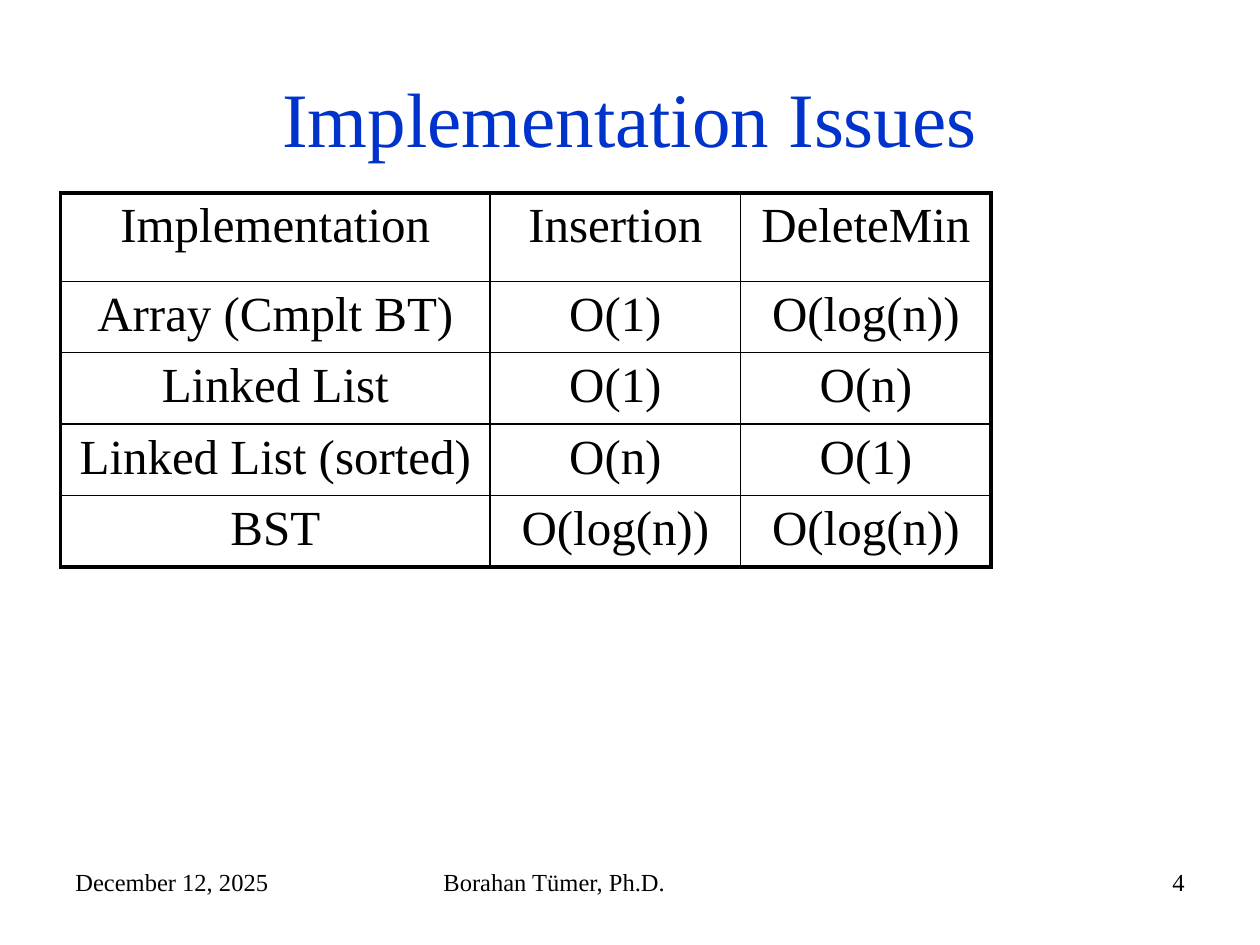
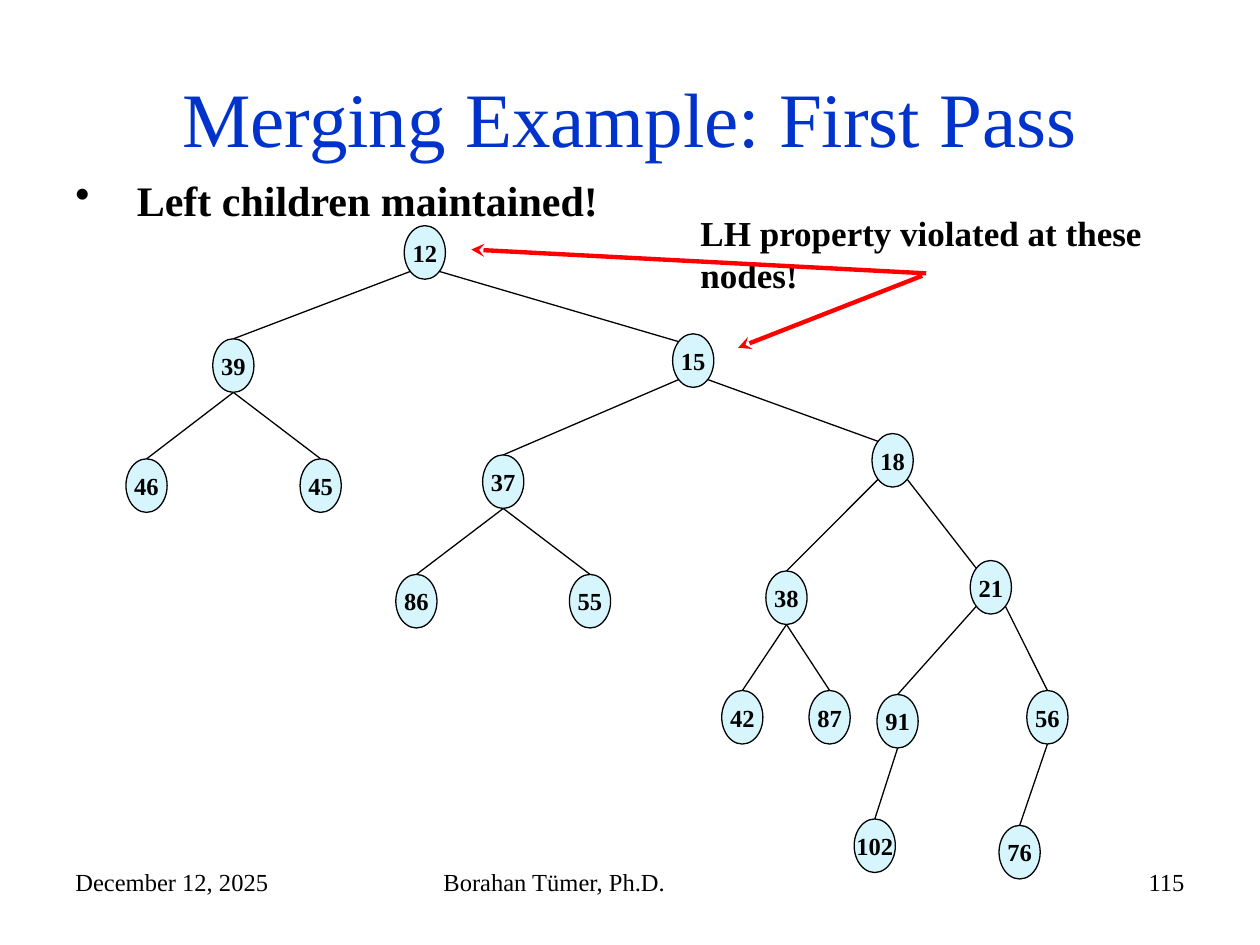
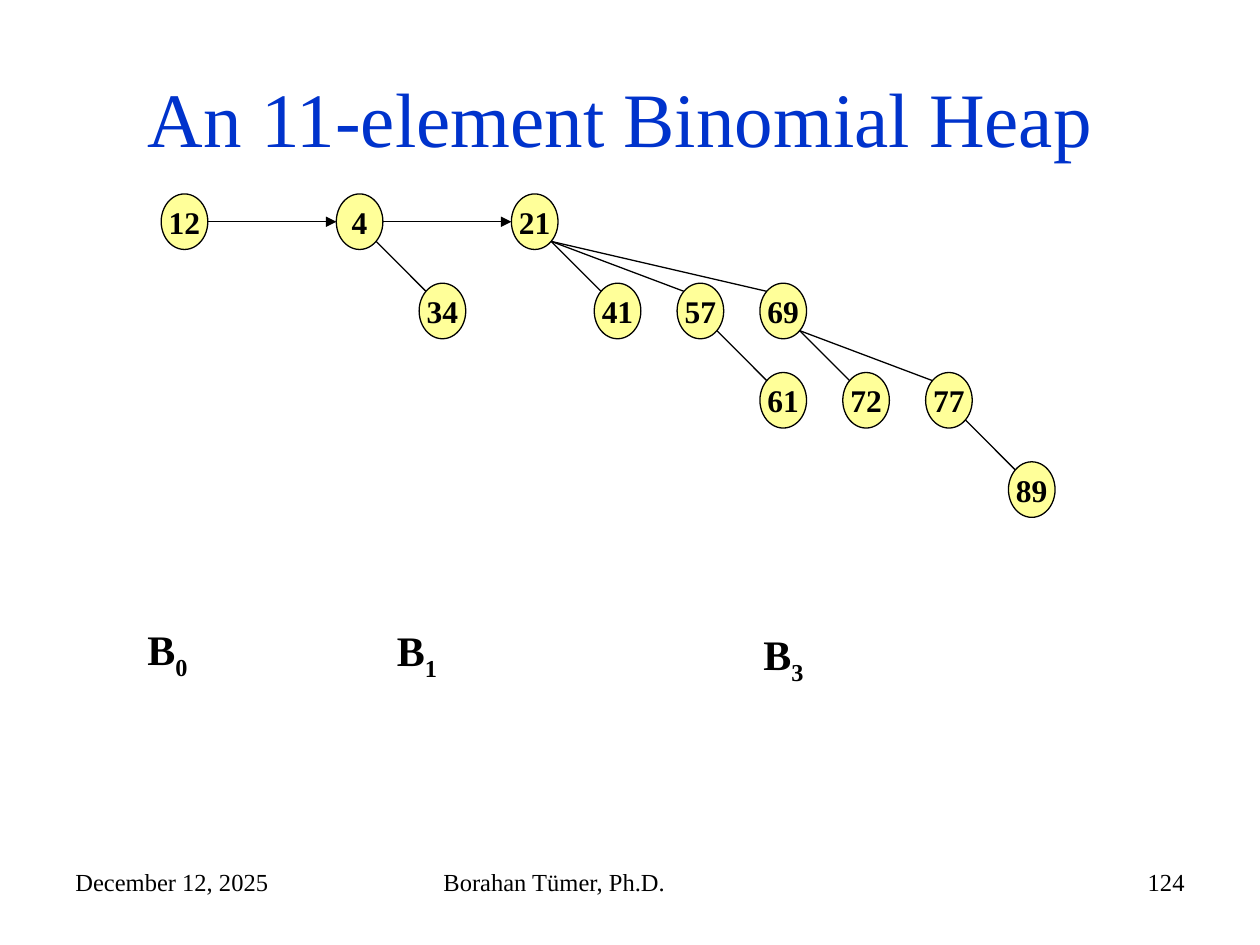
from lxml import etree
from pptx import Presentation
from pptx.dml.color import RGBColor
from pptx.enum.shapes import MSO_CONNECTOR, MSO_SHAPE
from pptx.enum.text import MSO_ANCHOR, PP_ALIGN
from pptx.oxml.ns import qn
from pptx.util import Cm, Pt

LEFT, CENTER, RIGHT = PP_ALIGN.LEFT, PP_ALIGN.CENTER, PP_ALIGN.RIGHT
MIDDLE = MSO_ANCHOR.MIDDLE
STRAIGHT, OVAL = MSO_CONNECTOR.STRAIGHT, MSO_SHAPE.OVAL

FONT = "Times New Roman"
BLACK = RGBColor(0x00, 0x00, 0x00)
TITLE_BLUE = RGBColor(0x00, 0x33, 0xCC)
NODE_BLUE = RGBColor(0xD6, 0xF5, 0xFC)
NODE_YELLOW = RGBColor(0xFF, 0xFF, 0x99)
RED = RGBColor(0xFF, 0x00, 0x00)

# Shared footer: date and author, followed by the slide number
DATE, AUTHOR = "December 12, 2025", "Borahan Tümer, Ph.D."
FOOTER_TOP, FOOTER_HEIGHT = 17.35, 1.32

# Slide 1: running times
COSTS = [
    ("Implementation", "Insertion", "DeleteMin"),
    ("Array (Cmplt BT)", "O(1)", "O(log(n))"),
    ("Linked List", "O(1)", "O(n)"),
    ("Linked List (sorted)", "O(n)", "O(1)"),
    ("BST", "O(log(n))", "O(log(n))"),
]
COLUMN_WIDTHS = (8.66, 5.05, 5.05)
ROW_HEIGHTS = (1.78, 1.44, 1.44, 1.44, 1.44)
THIN, THICK = 1, 2.25

# Slide 2: left and top of each node in cm, then the edges between them
MERGE_NODES = {
    12: (8.15, 4.55), 15: (13.56, 6.73), 18: (17.58, 8.74), 21: (19.56, 11.3),
    56: (20.7, 13.92), 39: (4.29, 6.83), 46: (2.54, 9.25), 45: (6.05, 9.25),
    37: (9.73, 9.17), 86: (7.98, 11.58), 55: (11.48, 11.58), 38: (15.44, 11.51),
    42: (14.55, 13.92), 87: (16.31, 13.92), 91: (17.68, 14), 102: (17.22, 16.51),
    76: (20.14, 16.64),
}
MERGE_EDGES = [
    (12, "bottom right", 15, "top left"), (15, "bottom right", 18, "top left"),
    (18, "bottom right", 21, "top left"), (21, "bottom right", 56, "top"),
    (12, "bottom left", 39, "top"), (39, "bottom", 46, "top"),
    (39, "bottom", 45, "top"), (15, "bottom left", 37, "top"),
    (37, "bottom", 86, "top"), (37, "bottom", 55, "top"),
    (18, "bottom left", 38, "top"), (38, "bottom", 42, "top"),
    (38, "bottom", 87, "top"), (21, "bottom left", 91, "top"),
    (91, "bottom", 102, "top"), (56, "bottom", 76, "top"),
]
VIOLATION_ARROWS = [((18.59, 5.56), (14.88, 7.01)), ((18.67, 5.51), (9.5, 5.03))]

# Slide 3: each binomial tree maps a key to its column, row and parent
BINOMIAL_TREES = [
    {12: (0, 0, None)},
    {4: (0, 0, None), 34: (1, 1, 4)},
    {21: (0, 0, None), 41: (1, 1, 21), 57: (2, 1, 21), 69: (3, 1, 21),
     61: (3, 2, 57), 72: (4, 2, 69), 77: (5, 2, 69), 89: (6, 3, 77)},
]
TREE_LABELS = [("0", 2.72, 12.45), ("1", 7.75, 12.47), ("3", 15.14, 12.55)]
HEAP_LEFT, HEAP_TOP, ROOT_STEP = 3.25, 3.91, 3.53
COLUMN_STEP, ROW_STEP = 1.67, 1.8

# Points on an oval, as fractions of its width and height
NEAR, FAR = 0.146, 0.854
SITES = {
    "top": (0.5, 0), "bottom": (0.5, 1), "left": (0, 0.5), "right": (1, 0.5),
    "top left": (NEAR, NEAR), "bottom left": (NEAR, FAR), "bottom right": (FAR, FAR),
}


def style(paragraph, size, color=BLACK, bold=False, align=LEFT):
    paragraph.alignment = align
    font = paragraph.font
    font.name, font.size, font.bold = FONT, Pt(size), bold
    font.color.rgb = color


def add_text(slide, text, box, size, bold=False, align=LEFT):
    frame = slide.shapes.add_textbox(*map(Cm, box)).text_frame
    frame.word_wrap = True
    paragraph = frame.paragraphs[0]
    paragraph.text = text
    style(paragraph, size, bold=bold, align=align)
    return paragraph


def add_slide(presentation, title, number):
    slide = presentation.slides.add_slide(presentation.slide_layouts[5])
    shape = slide.shapes.title
    shape.left, shape.top, shape.width, shape.height = map(Cm, (1.27, 0.76, 22.86, 3.18))
    frame = shape.text_frame
    frame.text, frame.vertical_anchor = title, MIDDLE
    style(frame.paragraphs[0], 44, TITLE_BLUE, align=CENTER)
    for text, left, width, align in ((DATE, 1.27, 5.92, LEFT), (AUTHOR, 8.69, 8.05, LEFT),
                                     (str(number), 18.21, 5.92, RIGHT)):
        add_text(slide, text, (left, FOOTER_TOP, width, FOOTER_HEIGHT), 14, align=align)
    return slide


def add_line(slide, start, end, color=BLACK, width=0.75, arrow=None):
    line = slide.shapes.add_connector(STRAIGHT, *start, *end)
    line.line.color.rgb, line.line.width = color, Pt(width)
    if arrow:
        etree.SubElement(line.line._get_or_add_ln(), qn("a:tailEnd"), type=arrow)
    etree.SubElement(line._element.spPr, qn("a:effectLst"))


def add_node(slide, key, left, top, size, fill, font_size):
    node = slide.shapes.add_shape(OVAL, Cm(left), Cm(top), *map(Cm, size))
    node.shadow.inherit = False
    node.fill.solid()
    node.fill.fore_color.rgb = fill
    node.line.color.rgb, node.line.width = BLACK, Pt(0.75)
    frame = node.text_frame
    frame.word_wrap, frame.vertical_anchor = False, MIDDLE
    frame.margin_left = frame.margin_right = frame.margin_top = frame.margin_bottom = 0
    frame.text = str(key)
    style(frame.paragraphs[0], font_size, bold=True, align=CENTER)
    return node


def site(node, name):
    across, down = SITES[name]
    return round(node.left + across * node.width), round(node.top + down * node.height)


def set_borders(cell, widths):
    properties = cell._tc.get_or_add_tcPr()
    for index, (side, width) in enumerate(zip(("lnL", "lnR", "lnT", "lnB"), widths)):
        line = etree.Element(qn(f"a:{side}"), w=str(Pt(width)))
        fill = etree.SubElement(line, qn("a:solidFill"))
        etree.SubElement(fill, qn("a:srgbClr"), val=str(BLACK))
        properties.insert(index, line)


def build_costs(presentation):
    slide = add_slide(presentation, "Implementation Issues", 4)
    last_row, last_column = len(COSTS) - 1, len(COLUMN_WIDTHS) - 1
    table = slide.shapes.add_table(
        len(COSTS), len(COLUMN_WIDTHS), Cm(1.22), Cm(3.89),
        Cm(sum(COLUMN_WIDTHS)), Cm(sum(ROW_HEIGHTS))).table
    table.first_row = table.horz_banding = False
    for column, width in zip(table.columns, COLUMN_WIDTHS):
        column.width = Cm(width)
    for row, height in zip(table.rows, ROW_HEIGHTS):
        row.height = Cm(height)
    for r, texts in enumerate(COSTS):
        for c, text in enumerate(texts):
            cell = table.cell(r, c)
            cell.text = text
            cell.fill.background()
            style(cell.text_frame.paragraphs[0], 28, align=CENTER)
            outer = (c == 0, c == last_column, r == 0, r == last_row)
            set_borders(cell, [THICK if edge else THIN for edge in outer])


def build_merge(presentation):
    slide = add_slide(presentation, "Merging Example: First Pass", 115)
    nodes = {key: add_node(slide, key, *place, (0.83, 1.08), NODE_BLUE, 14)
             for key, place in MERGE_NODES.items()}
    for parent, start, child, end in MERGE_EDGES:
        add_line(slide, site(nodes[parent], start), site(nodes[child], end))

    # Bulleted remark
    remark = add_text(slide, "Left children maintained!", (1.27, 3.4, 22.45, 1.27), 24, True)
    properties = remark._p.get_or_add_pPr()
    properties.set("marL", str(Cm(1.24)))
    properties.set("indent", str(-Cm(1.24)))
    properties.insert(0, etree.Element(qn("a:buChar"), char="•"))

    # Violated nodes
    add_text(slide, "LH property violated at these nodes!", (13.87, 4.14, 10.2, 1.9), 20, True)
    for start, end in VIOLATION_ARROWS:
        add_line(slide, map(Cm, start), map(Cm, end), RED, 2.5, "stealth")


def build_heap(presentation):
    slide = add_slide(presentation, "An 11-element Binomial Heap ", 124)
    roots = []
    for index, tree in enumerate(BINOMIAL_TREES):
        root_left = HEAP_LEFT + index * ROOT_STEP
        nodes = {}
        for key, (column, row, parent) in tree.items():
            nodes[key] = add_node(slide, key, root_left + column * COLUMN_STEP,
                                  HEAP_TOP + row * ROW_STEP, (0.94, 1.12), NODE_YELLOW, 18)
            if parent is None:
                roots.append(nodes[key])
            else:
                add_line(slide, site(nodes[parent], "bottom right"), site(nodes[key], "top left"))
    for root, following in zip(roots, roots[1:]):
        add_line(slide, site(root, "right"), site(following, "left"), arrow="triangle")

    # Tree names with subscripts
    for order, left, top in TREE_LABELS:
        label = add_text(slide, "B", (left, top, 1.6, 1.27), 24, True)
        subscript = label.add_run()
        subscript.text = order
        subscript._r.get_or_add_rPr().set("baseline", "-25000")


def main():
    presentation = Presentation()
    presentation.slide_width, presentation.slide_height = Cm(25.4), Cm(19.05)
    build_costs(presentation)
    build_merge(presentation)
    build_heap(presentation)
    presentation.save("out.pptx")


if __name__ == "__main__":
    main()
